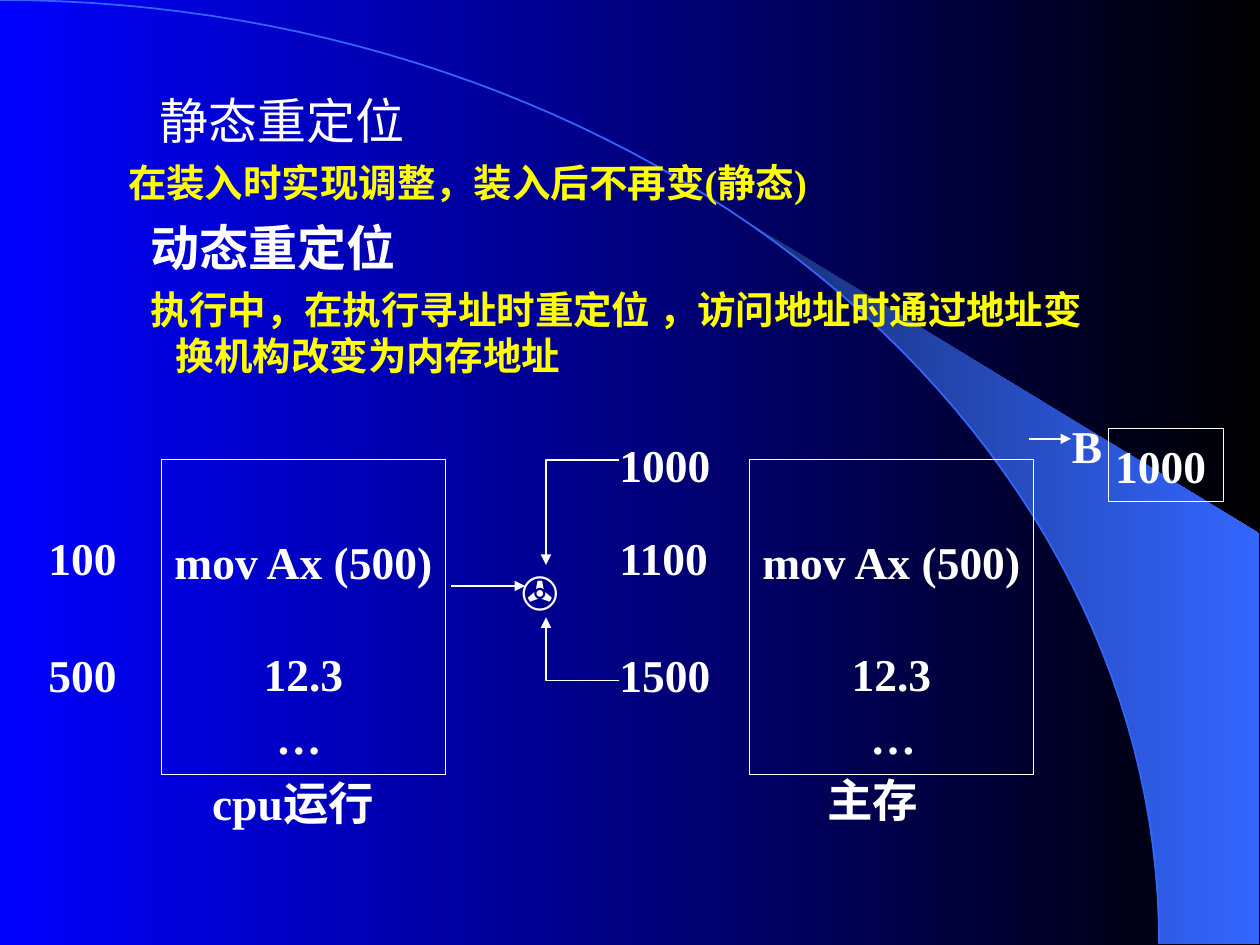
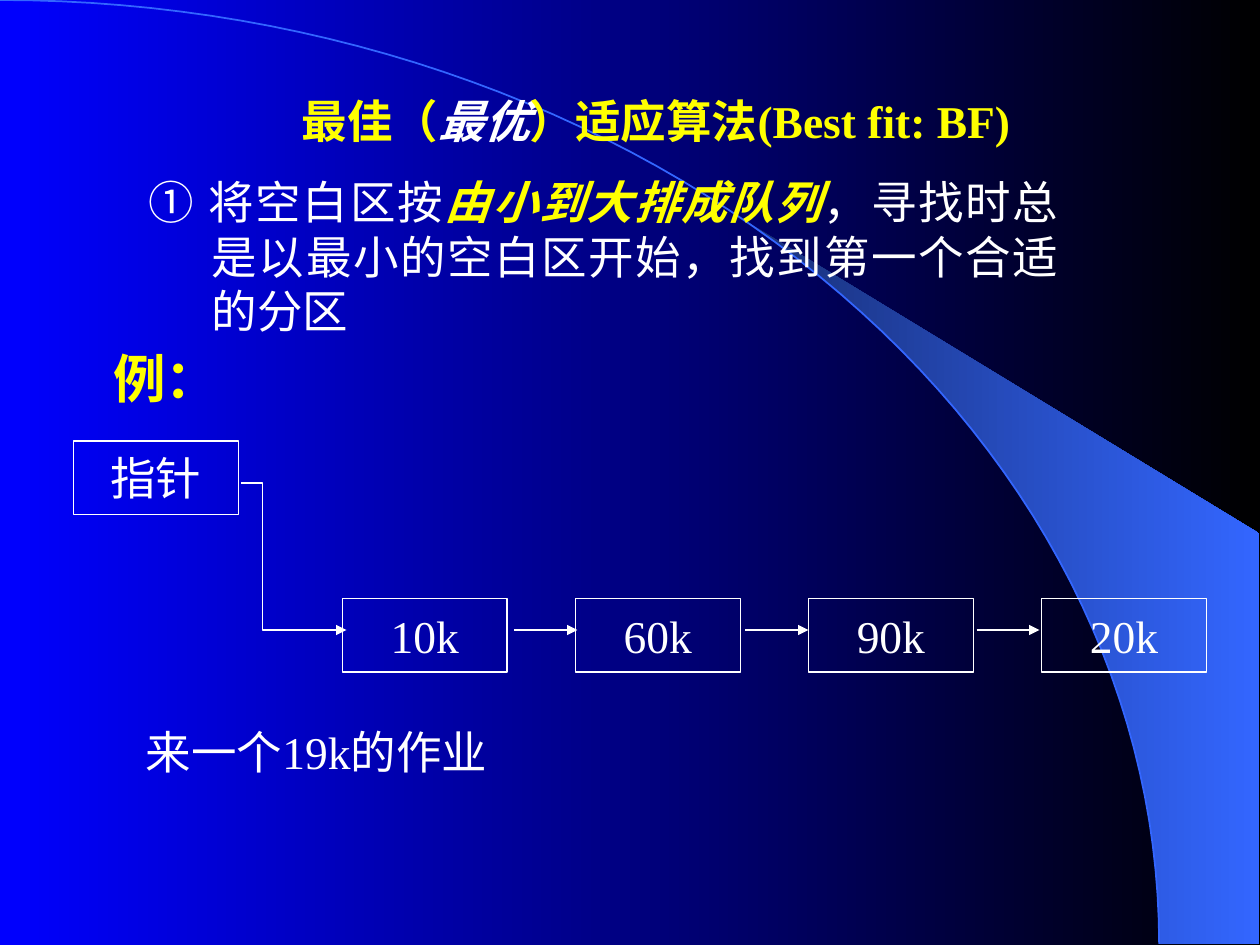
from dataclasses import dataclass
from math import asin, cos, pi, sin
from typing import Optional

from lxml.etree import SubElement
from pptx import Presentation
from pptx.dml.color import RGBColor
from pptx.enum.text import MSO_ANCHOR, MSO_AUTO_SIZE, PP_ALIGN
from pptx.enum.shapes import MSO_CONNECTOR, MSO_SHAPE
from pptx.oxml.ns import qn
from pptx.util import Emu, Inches, Pt

COLUMNS, ROWS = 120, 90  # cells of one twelfth of an inch
WHITE, YELLOW = "FFFFFF", "FFFF00"
BLUE, BLACK, NAVY, SKY = "0000FF", "000000", "182F76", "3366FF"
SERIF, SANS, CJK = "Times New Roman", "Arial", "Noto Sans CJK JP"
ARC_WIDTH, ARC_HEIGHT = 110.4, 89.9

Point = tuple[float, float]


@dataclass(frozen=True)
class Area:
    left: float
    top: float
    width: float
    height: float

    def lengths(self) -> list[Emu]:
        return [grid(cells) for cells in (self.left, self.top, self.width, self.height)]


@dataclass(frozen=True)
class Span:
    """Text with the font settings that differ from its paragraph."""
    text: str
    color: Optional[str] = None
    bold: Optional[bool] = None
    italic: Optional[bool] = None
    font: Optional[str] = None


@dataclass(frozen=True)
class Para:
    spans: tuple[Span, ...]
    size: float = 26
    color: str = WHITE
    bold: bool = False
    font: str = SERIF
    align: PP_ALIGN = PP_ALIGN.LEFT
    before: float = 0
    margin: float = 0
    indent: float = 0


def grid(cells: float) -> Emu:
    return Emu(round(cells * Inches(10) / COLUMNS))


def rgb(color: str) -> RGBColor:
    return RGBColor.from_string(color)


def plain(text: str, **settings) -> Para:
    return Para((Span(text),), **settings)


def write(frame, paras: list[Para], inset: Point = (0.1, 0.05),
          anchor: MSO_ANCHOR = MSO_ANCHOR.MIDDLE, wrap: bool = False) -> None:
    frame.auto_size = MSO_AUTO_SIZE.NONE
    frame.word_wrap = wrap
    frame.vertical_anchor = anchor
    frame.margin_left = frame.margin_right = Inches(inset[0])
    frame.margin_top = frame.margin_bottom = Inches(inset[1])
    for number, para in enumerate(paras):
        paragraph = frame.add_paragraph() if number else frame.paragraphs[0]
        paragraph.alignment = para.align
        paragraph.space_before = Pt(para.before)
        properties = paragraph._p.get_or_add_pPr()
        properties.set("marL", str(Inches(para.margin)))
        properties.set("indent", str(Inches(para.indent)))
        SubElement(properties, qn("a:buNone"))
        font = paragraph.font
        font.size, font.bold, font.name = Pt(para.size), para.bold, para.font
        font.color.rgb = rgb(para.color)
        for span in para.spans:
            run = paragraph.add_run()
            run.text = span.text
            if span.color:
                run.font.color.rgb = rgb(span.color)
            if span.font:
                run.font.name = span.font
            if span.bold is not None:
                run.font.bold = span.bold
            if span.italic is not None:
                run.font.italic = span.italic


def label(slide, area: Area, para: Para, inset: Point = (0.05, 0.03), **layout) -> None:
    box = slide.shapes.add_textbox(*area.lengths())
    write(box.text_frame, [para], inset, **layout)


def outlined_box(slide, area: Area, paras: list[Para], inset: Point) -> None:
    box = slide.shapes.add_shape(MSO_SHAPE.RECTANGLE, *area.lengths())
    box.shadow.inherit = False
    box.fill.background()
    set_line(box.line)
    write(box.text_frame, paras, inset)


def set_line(line, color: str = WHITE, width: float = 0.75, arrow: bool = False) -> None:
    line.color.rgb = rgb(color)
    line.width = Pt(width)
    if arrow:
        SubElement(line._get_or_add_ln(), qn("a:tailEnd"), type="triangle")


def arrow(slide, start: Point, length: float) -> None:
    left, top = start
    ends = [grid(cells) for cells in (left, top, left + length, top)]
    connector = slide.shapes.add_connector(MSO_CONNECTOR.STRAIGHT, *ends)
    set_line(connector.line, arrow=True)
    SubElement(connector._element.spPr, qn("a:effectLst"))


def outline(slide, points: list[Point], close: bool = False):
    (first, *rest) = [(grid(x), grid(y)) for x, y in points]
    builder = slide.shapes.build_freeform(*first)
    builder.add_line_segments(rest, close=close)
    shape = builder.convert_to_shape()
    shape.shadow.inherit = False
    shape.fill.background()
    return shape


def elbow_arrow(slide, points: list[Point]) -> None:
    set_line(outline(slide, points).line, arrow=True)


def gradient(fill, start: str, end: str) -> None:
    fill.gradient()
    fill.gradient_angle = 0
    for stop, color, position in zip(fill.gradient_stops, (start, end), (0, 1)):
        stop.color.rgb = rgb(color)
        stop.position = position


def arc_points(start: float, steps: int) -> list[Point]:
    """Points of the quarter ellipse from an angle to its lower right end."""
    angles = [start + (pi / 2 - start) * step / steps for step in range(steps + 1)]
    return [(ARC_WIDTH * sin(angle), ARC_HEIGHT * (1 - cos(angle))) for angle in angles]


def decorate_master(deck, slide) -> None:
    """Draw the backdrop on a slide and move it to the master."""
    master = deck.slide_master
    gradient(master.background.fill, BLUE, BLACK)
    edge = arc_points(asin(0.64), 24)
    glow = outline(slide, edge + [(119.9, ARC_HEIGHT), (119.9, 50.8)], close=True)
    gradient(glow.fill, NAVY, SKY)
    glow.line.fill.background()
    arc = outline(slide, arc_points(0, 60))
    set_line(arc.line, SKY, 1)
    for number, shape in enumerate((glow, arc)):
        shape._element.nvSpPr.cNvPr.set("id", str(100 + number))
        master.shapes._spTree.insert(2 + number, shape._element)


def place(placeholder, area: Area) -> None:
    (placeholder.left, placeholder.top,
     placeholder.width, placeholder.height) = area.lengths()


def relocation_slide(slide) -> None:
    title = slide.shapes.title._element
    title.getparent().remove(title)
    body = slide.placeholders[1]
    place(body, Area(11, 8, 95, 31))
    heading = dict(size=28, font=CJK, margin=0.38)
    detail = dict(size=22, color=YELLOW, bold=True, margin=0.38, before=5.5)
    write(body.text_frame, [
        plain("静态重定位", indent=-0.13, **heading),
        plain("在装入时实现调整，装入后不再变(静态)", indent=-0.38, **detail),
        plain("动态重定位", indent=-0.2, bold=True, before=7, **heading),
        plain("执行中，在执行寻址时重定位 ，访问地址时通过地址变换机构改变为内存地址",
              indent=-0.2, **detail),
    ], anchor=MSO_ANCHOR.TOP, wrap=True)

    inset = (0.05, 0.03)
    code = dict(bold=True, align=PP_ALIGN.CENTER)
    for left in (15.4, 71.4):
        outlined_box(slide, Area(left, 43.8, 27, 30),
                     [plain("mov Ax (500)", **code), plain("12.3", before=33, **code)], inset)
    outlined_box(slide, Area(105.6, 40.8, 10.9, 7), [plain("1000", bold=True)], inset)

    for text, left, top, width, height in (
            ("100", 4, 49.7, 8.6, 6.8), ("500", 4, 60.8, 8.6, 6.8),
            ("1000", 58.4, 40.8, 10.8, 6.8), ("1100", 58.4, 49.7, 10.8, 6.8),
            ("1500", 58.4, 60.8, 10.8, 6.8), ("B", 101.5, 39, 5, 6.8),
            ("cpu运行", 19.6, 73, 17, 6.8), ("主存", 78.2, 72.7, 10.8, 6.8),
            ("…", 25.7, 67.2, 7.4, 5.9), ("…", 82.3, 67.2, 7.4, 5.9)):
        label(slide, Area(left, top, width, height), plain(text, bold=True))
    label(slide, Area(49, 53, 4.2, 6.8), plain("✇", bold=True, font=SANS))

    arrow(slide, (43, 55.8), 7)
    arrow(slide, (98, 41.8), 4)
    for start, end in ((43.8, 53.8), (64.8, 58.8)):
        elbow_arrow(slide, [(59, start), (52, start), (52, end)])


def best_fit_slide(slide) -> None:
    title = slide.shapes.title
    place(title, Area(5, 7, 115, 9))
    write(title.text_frame, [Para(
        (Span("最佳（"), Span("最优", color=WHITE, italic=True), Span("）适应算法(Best fit: BF)")),
        color=YELLOW, bold=True, align=PP_ALIGN.CENTER)], wrap=True)

    label(slide, Area(13, 16, 89, 16.7), Para(
        (Span("① ", font=SANS), Span("将空白区按"),
         Span("由小到大排成队列", color=YELLOW, bold=True, italic=True),
         Span("，寻找时总是以最小的空白区开始，找到第一个合适的分区")),
        align=PP_ALIGN.JUSTIFY, margin=0.5, indent=-0.5),
        (0.1, 0.05), anchor=MSO_ANCHOR.TOP, wrap=True)
    label(slide, Area(9.6, 32.4, 12.2, 7.2), plain("例：", size=30, color=YELLOW, bold=True),
          (0.1, 0.05), anchor=MSO_ANCHOR.TOP)
    label(slide, Area(12.7, 68.4, 37, 6.4), plain("来一个19k的作业"),
          (0.1, 0.05), anchor=MSO_ANCHOR.TOP)

    blocks = [("指针", 7, 42)]
    blocks += [(size, 32.6 + 22.2 * number, 57)
               for number, size in enumerate(("10k", "60k", "90k", "20k"))]
    for text, left, top in blocks:
        outlined_box(slide, Area(left, top, 15.7, 7),
                     [plain(text, align=PP_ALIGN.CENTER)], (0.08, 0.04))
    for number in range(3):
        arrow(slide, (49 + 22 * number, 60), 6)
    elbow_arrow(slide, [(23, 46), (25, 46), (25, 60), (33, 60)])


def main() -> None:
    deck = Presentation()
    deck.slide_width, deck.slide_height = grid(COLUMNS), grid(ROWS)
    content, title_only = deck.slide_layouts[1], deck.slide_layouts[5]
    first = deck.slides.add_slide(content)
    decorate_master(deck, first)
    relocation_slide(first)
    best_fit_slide(deck.slides.add_slide(title_only))
    deck.save("out.pptx")


if __name__ == "__main__":
    main()
